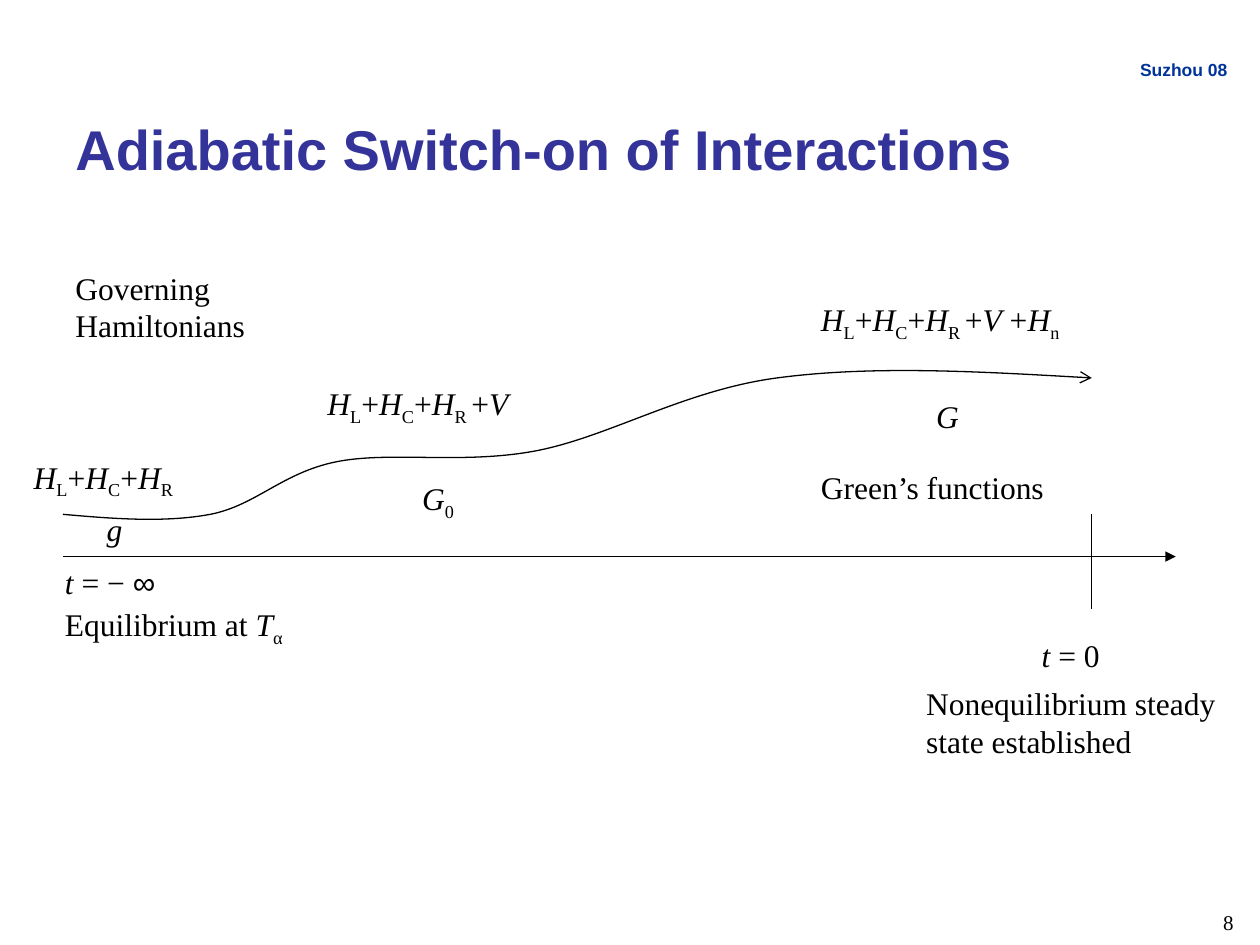
from dataclasses import dataclass
from functools import partial
from typing import List, NamedTuple, Optional

from lxml import etree
from pptx import Presentation
from pptx import util as u
from pptx.dml.color import RGBColor
from pptx.enum import shapes, text
from pptx.oxml.ns import qn

BLACK = RGBColor(0x00, 0x00, 0x00)
HEADER_BLUE = RGBColor(0x00, 0x33, 0x99)
TITLE_BLUE = RGBColor(0x33, 0x33, 0x99)
SERIF = "Times New Roman"
SANS = "Arial"


class Run(NamedTuple):
    text: str
    italic: bool = False
    sub: bool = False
    font: str = SERIF


@dataclass
class Label:
    left: float
    top: float
    width: float
    height: float
    runs: List[Run]
    size: float = 18
    color: RGBColor = BLACK
    bold: bool = False
    align: text.PP_ALIGN = text.PP_ALIGN.LEFT
    anchor: text.MSO_ANCHOR = text.MSO_ANCHOR.TOP


class Line(NamedTuple):
    x1: float
    y1: float
    x2: float
    y2: float
    tail: Optional[str] = None


var = partial(Run, italic=True)
sub = partial(Run, sub=True)

LEADS_AND_CENTER = [var("H"), sub("L"), Run("+"), var("H"), sub("C"), Run("+"), var("H")]
WITH_COUPLING = LEADS_AND_CENTER + [sub("R "), Run("+"), var("V")]

LABELS = [
    Label(0.43, 1.07, 24.56, 0.69, [Run("Suzhou 08", font=SANS)], 10, HEADER_BLUE, True,
          text.PP_ALIGN.RIGHT),
    Label(1.27, 1.9, 22.86, 2.18, [Run("Adiabatic Switch-on of Interactions", font=SANS)],
          32, TITLE_BLUE, True, anchor=text.MSO_ANCHOR.MIDDLE),
    Label(20.75, 12.7, 2.34, 1.02, [var("t"), Run(" = 0")]),
    Label(1.06, 11.22, 3.38, 1.02, [var("t "), Run("= − "), Run("∞", font=SANS)]),
    Label(0.43, 9.1, 4.01, 1.12, LEADS_AND_CENTER + [sub("R")]),
    Label(6.35, 7.62, 4.65, 1.12, WITH_COUPLING),
    Label(16.3, 5.93, 5.92, 1.12, WITH_COUPLING + [Run(" +"), var("H"), sub("n")]),
    Label(1.9, 10.16, 1.07, 1.02, [var("g")]),
    Label(8.26, 9.53, 1.47, 1.12, [var("G"), sub("0")]),
    Label(18.62, 7.87, 1.27, 1.02, [var("G")]),
    Label(1.27, 5.29, 4.02, 1.78, [Run("Governing Hamiltonians")]),
    Label(16.3, 9.31, 6.15, 1.02, [Run("Green’s functions")]),
    Label(1.06, 12.07, 5.28, 1.12, [Run("Equilibrium at "), var("T"), sub("α")]),
    Label(18.42, 13.67, 6.55, 1.78, [Run("Nonequilibrium steady state established")]),
    Label(19.25, 18.21, 5.87, 1.4, [Run("8")], 12, align=text.PP_ALIGN.RIGHT),
]

LINES = [
    Line(1.27, 11.22, 23.7, 11.22, "triangle"),
    Line(22.01, 10.37, 22.01, 12.28),
]

SWITCH_ON_CURVE = [
    (1.27, 10.37),
    (2.29, 10.46), (3.33, 10.54), (4.24, 10.37),
    (5.16, 10.19), (5.69, 9.53), (6.78, 9.31),
    (7.87, 9.09), (9.32, 9.37), (10.8, 9.09),
    (12.27, 8.81), (13.79, 7.87), (15.66, 7.62),
    (17.53, 7.37), (19.76, 7.49), (22.01, 7.62),
]


def add_label(s, label: Label) -> None:
    sp = s.shapes.add_textbox(*map(u.Cm, (label.left, label.top, label.width, label.height)))
    tf = sp.text_frame
    tf.word_wrap = True
    tf.vertical_anchor = label.anchor
    p = tf.paragraphs[0]
    p.alignment = label.align
    for run in label.runs:
        r = p.add_run()
        r.text = run.text
        r.font.name = run.font
        r.font.size = u.Pt(label.size)
        r.font.bold = label.bold
        r.font.italic = run.italic
        r.font.color.rgb = label.color
        if run.sub:
            r._r.get_or_add_rPr().set("baseline", "-25000")


def style_line(sp, tail: Optional[str]) -> None:
    sp.line.color.rgb = BLACK
    sp.line.width = u.Pt(0.75)
    if tail:
        etree.SubElement(sp.line._get_or_add_ln(), qn("a:tailEnd"), type=tail)


def add_line(s, line: Line) -> None:
    sp = s.shapes.add_connector(
        shapes.MSO_CONNECTOR.STRAIGHT, *map(u.Cm, (line.x1, line.y1, line.x2, line.y2)))
    style_line(sp, line.tail)
    etree.SubElement(sp._element.spPr, qn("a:effectLst"))


def add_curve(s, points: list, tail: str) -> None:
    start, *controls = [(u.Cm(x), u.Cm(y)) for x, y in points]
    builder = s.shapes.build_freeform(*start)
    builder.add_line_segments(controls, close=False)
    sp = builder.convert_to_shape()
    steps = list(sp._element.iter(qn("a:lnTo")))
    for i in range(0, len(steps), 3):
        bezier = etree.Element(qn("a:cubicBezTo"))
        steps[i].addprevious(bezier)
        for step in steps[i:i + 3]:
            bezier.append(step[0])
            step.getparent().remove(step)
    sp.fill.background()
    style_line(sp, tail)
    sp.shadow.inherit = False


def main() -> None:
    prs = Presentation()
    prs.slide_width, prs.slide_height = u.Cm(25.4), u.Cm(19.05)
    s = prs.slides.add_slide(prs.slide_layouts[6])
    for line in LINES:
        add_line(s, line)
    add_curve(s, SWITCH_ON_CURVE, "arrow")
    for label in LABELS:
        add_label(s, label)
    prs.save("out.pptx")


if __name__ == "__main__":
    main()
